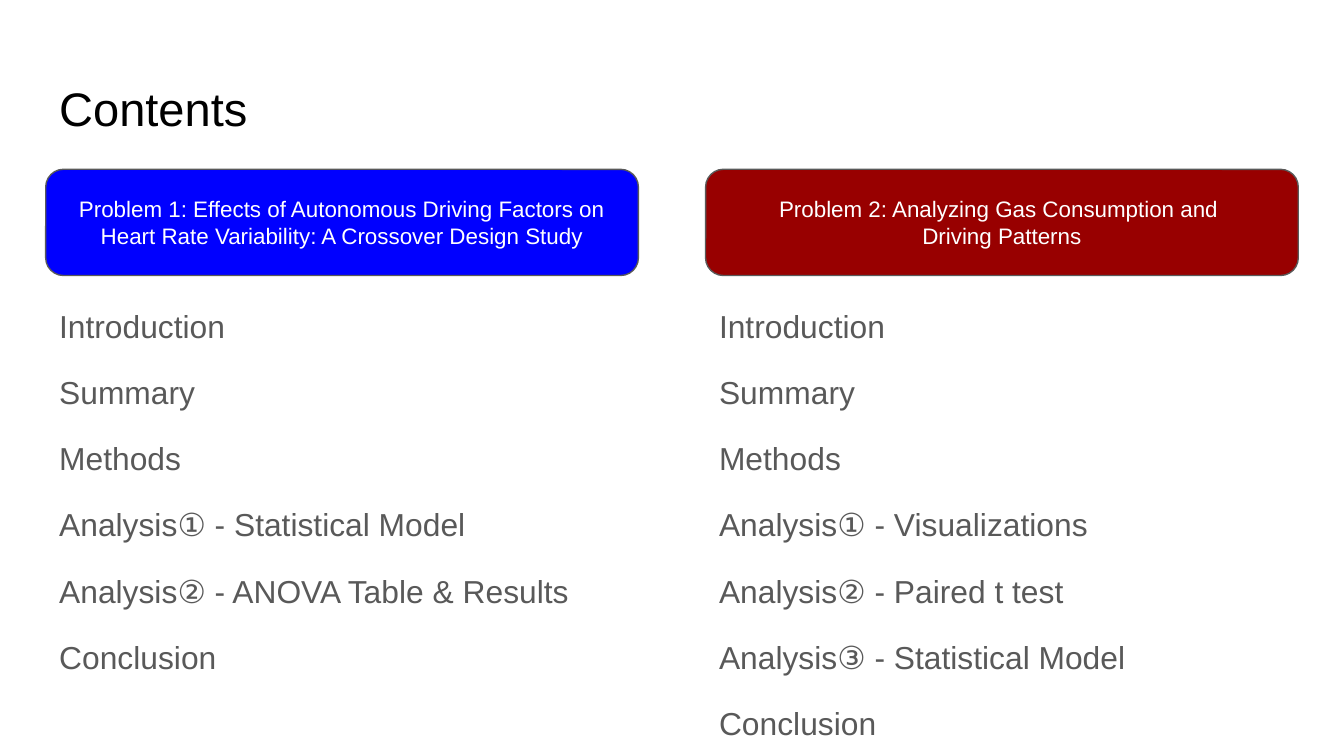
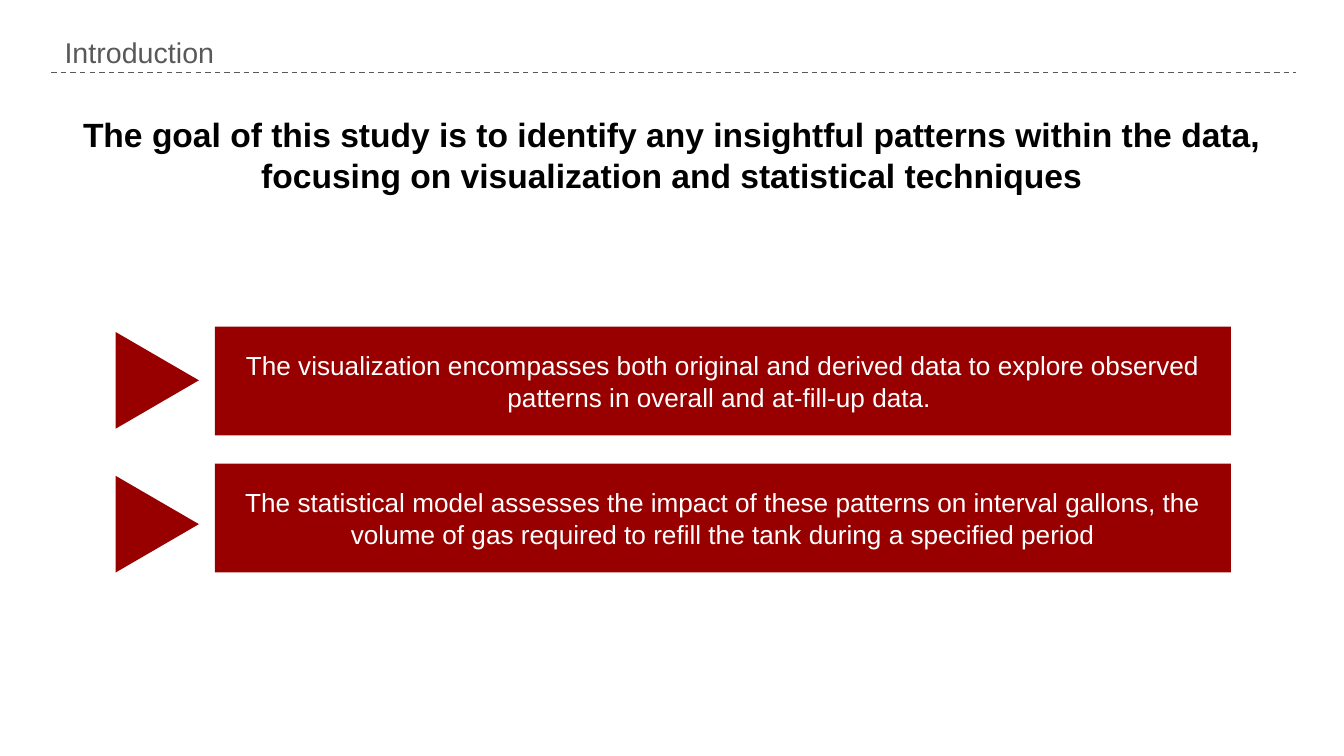
from lxml.etree import SubElement
from pptx import Presentation
from pptx.dml.color import RGBColor
from pptx.enum.dml import MSO_LINE
from pptx.enum.shapes import MSO_CONNECTOR, MSO_SHAPE
from pptx.enum.text import MSO_ANCHOR, MSO_AUTO_SIZE, PP_ALIGN
from pptx.oxml.ns import qn
from pptx.util import Inches, Pt

BLACK = RGBColor(0x00, 0x00, 0x00)
WHITE = RGBColor(0xFF, 0xFF, 0xFF)
GRAY = RGBColor(0x59, 0x59, 0x59)
BLUE = RGBColor(0x00, 0x00, 0xFF)
RED = RGBColor(0x98, 0x00, 0x00)
FONT = "Arial"
INSET = Inches(0.1)
SLIDE_WIDTH = Inches(10)
SLIDE_HEIGHT = SLIDE_WIDTH * 9 // 16
TWO_CONTENT, TITLE_ONLY = 3, 5

PROBLEMS = [
    (
        BLUE,
        "Problem 1: Effects of Autonomous Driving Factors on "
        "Heart Rate Variability: A Crossover Design Study",
        ["Analysis① - Statistical Model", "Analysis② - ANOVA Table & Results"],
        3.31,
    ),
    (
        RED,
        "Problem 2: Analyzing Gas Consumption and \nDriving Patterns",
        [
            "Analysis① - Visualizations",
            "Analysis② - Paired t test",
            "Analysis③ - Statistical Model",
        ],
        3.39,
    ),
]
GOAL = (
    "The goal of this study is to identify any insightful patterns within the data, "
    "focusing on visualization and statistical techniques"
)
APPROACHES = [
    "The visualization encompasses both original and derived data to explore "
    "observed patterns in overall and at-fill-up data. ",
    "The statistical model assesses the impact of these patterns on interval gallons, "
    "the volume of gas required to refill the tank during a specified period",
]


def place(shape, left, top, width, height):
    shape.left, shape.top = Inches(left), Inches(top)
    shape.width, shape.height = Inches(width), Inches(height)


def write(shape, text, size, color, align=PP_ALIGN.LEFT, anchor=MSO_ANCHOR.TOP, bold=False):
    frame = shape.text_frame
    frame.text = text
    frame.word_wrap = True
    frame.auto_size = MSO_AUTO_SIZE.NONE
    frame.vertical_anchor = anchor
    frame.margin_left = frame.margin_right = INSET
    frame.margin_top = frame.margin_bottom = INSET
    for paragraph in frame.paragraphs:
        paragraph.alignment = align
        for run in paragraph.runs:
            run.font.name = FONT
            run.font.size = Pt(size)
            run.font.bold = bold
            run.font.color.rgb = color
    return frame.paragraphs


def add_title(slide, text, box, size, color):
    place(slide.shapes.title, *box)
    return write(slide.shapes.title, text, size, color)[0]


def add_block(slide, kind, box, fill, outline=None):
    block = slide.shapes.add_shape(kind, *map(Inches, box))
    block.shadow.inherit = False
    block.fill.solid()
    block.fill.fore_color.rgb = fill
    if outline is None:
        block.line.fill.background()
    else:
        block.line.color.rgb = outline
        block.line.width = Pt(0.75)
    return block


def add_label(slide, kind, box, fill, text, size, outline=None):
    label = add_block(slide, kind, box, fill, outline)
    write(label, text, size, WHITE, PP_ALIGN.CENTER, MSO_ANCHOR.MIDDLE)


def fill_list(body, items, box):
    place(body, *box)
    paragraphs = write(body, "\n".join(items), 17, GRAY)
    for index, paragraph in enumerate(paragraphs):
        paragraph.line_spacing = 1.15
        paragraph.space_before = Pt(12 if index else 0)
        paragraph.space_after = Pt(0)
        properties = paragraph._p.get_or_add_pPr()
        properties.set("marL", "0")
        properties.set("indent", "0")
        SubElement(properties, qn("a:buNone"))
    paragraphs[-1].space_after = Pt(12)


def add_dashed_rule(slide, left, right, top):
    rule = slide.shapes.add_connector(
        MSO_CONNECTOR.STRAIGHT, Inches(left), Inches(top), Inches(right), Inches(top)
    )
    rule.line.color.rgb = GRAY
    rule.line.width = Pt(0.75)
    rule.line.dash_style = MSO_LINE.DASH
    SubElement(rule._element.spPr, qn("a:effectLst"))


def build_contents(deck):
    slide = deck.slides.add_slide(deck.slide_layouts[TWO_CONTENT])
    add_title(slide, "Contents", (0.34, 0.49, 9.32, 0.63), 25.2, BLACK)
    for column, (color, heading, analyses, height) in enumerate(PROBLEMS):
        left = 0.34 + column * 4.91
        add_label(
            slide, MSO_SHAPE.ROUNDED_RECTANGLE, (left, 1.26, 4.41, 0.79),
            color, heading, 12, GRAY,
        )
        topics = ["Introduction", "Summary", "Methods", *analyses, "Conclusion"]
        fill_list(slide.placeholders[column + 1], topics, (left, 2.14, 4.15, height))


def build_introduction(deck):
    slide = deck.slides.add_slide(deck.slide_layouts[TITLE_ONLY])
    heading = add_title(slide, "Introduction", (0.38, 0.12, 1.47, 0.42), 15.3, GRAY)
    heading.line_spacing = 1.15
    heading.space_after = Pt(12)
    add_dashed_rule(slide, 0.38, 9.64, 0.54)
    goal = slide.shapes.add_textbox(*map(Inches, (0.3, 0.75, 9.4, 0.76)))
    write(goal, GOAL, 18, BLACK, PP_ALIGN.CENTER, bold=True)
    for row, approach in enumerate(APPROACHES):
        add_label(
            slide, MSO_SHAPE.RECTANGLE, (1.6, 2.43 + row * 1.02, 7.56, 0.81),
            RED, approach, 14,
        )
        pointer = add_block(
            slide, MSO_SHAPE.ISOSCELES_TRIANGLE, (0.81, 2.52 + row * 1.07, 0.72, 0.62), RED
        )
        pointer.rotation = 90


def main():
    deck = Presentation()
    deck.slide_width, deck.slide_height = SLIDE_WIDTH, SLIDE_HEIGHT
    build_contents(deck)
    build_introduction(deck)
    deck.save("out.pptx")


if __name__ == "__main__":
    main()
